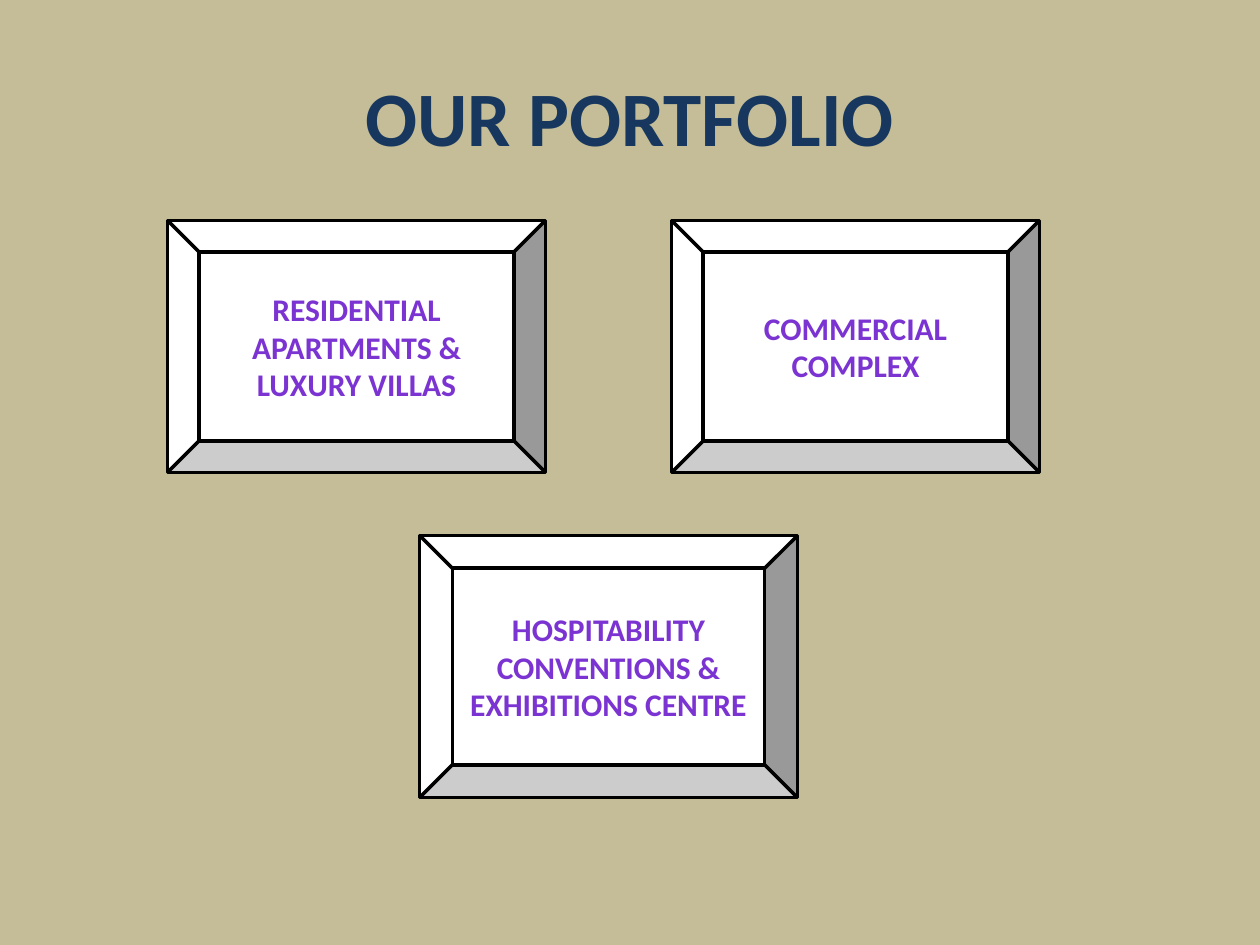
import pptx
import pptx.util
import pptx.dml.color
import pptx.enum.shapes
import pptx.enum.text
import pptx.oxml
import pptx.oxml.ns
from pptx.util import Inches

COLORS = {
    "background": "C4BD97",
    "title": "17375E",
    "panel": "FFFFFF",
    "border": "000000",
    "text_dark": "3D1B67",
    "text_bright": "7B34D2",
    "text_mid": "7330C4",
    "text_outline": "5E457C",
}
TEXT_GRADIENT = [(0, "text_dark"), (43, "text_bright"), (48, "text_mid"), (100, "text_dark")]

PANEL_TOP, PANEL_WIDTH = 1.75, 3
PORTFOLIO = [
    ("RESIDENTIAL APARTMENTS & LUXURY VILLAS", 1.33, PANEL_TOP, PANEL_WIDTH, 2),
    ("COMMERCIAL COMPLEX", 5.33, PANEL_TOP, 2.92, 2),
    ("HOSPITABILITY CONVENTIONS & EXHIBITIONS CENTRE", 3.33, 4.25, PANEL_WIDTH, 2.08),
]


def rgb(name):
    return pptx.dml.color.RGBColor.from_string(COLORS[name])


class PortfolioSlide:
    font_name = "Calibri"

    def __init__(self, presentation):
        self.slide = presentation.slides.add_slide(presentation.slide_layouts[0])
        fill = self.slide.background.fill
        fill.solid()
        fill.fore_color.rgb = rgb("background")
        subtitle = self.slide.placeholders[1].element
        subtitle.getparent().remove(subtitle)

    def add_text(self, shape, text, size):
        """Fill the shape with one bold, centred run and return the run."""
        frame = shape.text_frame
        frame.word_wrap = True
        frame.vertical_anchor = pptx.enum.text.MSO_ANCHOR.MIDDLE
        paragraph = frame.paragraphs[0]
        paragraph.alignment = pptx.enum.text.PP_ALIGN.CENTER
        run = paragraph.add_run()
        run.text = text
        run.font.name = self.font_name
        run.font.size = pptx.util.Pt(size)
        run.font.bold = True
        return run

    def add_title(self, text):
        title = self.slide.shapes.title
        title.left, title.top = Inches(0), Inches(0.25)
        title.width, title.height = Inches(10), Inches(1.33)
        self.add_text(title, text, 44).font.color.rgb = rgb("title")

    def add_panel(self, text, left, top, width, height):
        panel = self.slide.shapes.add_shape(
            pptx.enum.shapes.MSO_SHAPE.BEVEL,
            Inches(left), Inches(top), Inches(width), Inches(height))
        panel.shadow.inherit = False
        panel.fill.solid()
        panel.fill.fore_color.rgb = rgb("panel")
        panel.line.color.rgb = rgb("border")
        panel.line.width = pptx.util.Pt(2)
        self.apply_gradient(self.add_text(panel, text, 18))

    def apply_gradient(self, run):
        """Give the letters a vertical gradient and a thin outline."""
        namespace = pptx.oxml.ns.nsdecls("a")
        stops = "".join(
            f'<a:gs pos="{percent * 1000}"><a:srgbClr val="{COLORS[name]}"/></a:gs>'
            for percent, name in TEXT_GRADIENT)
        outline = (
            f'<a:ln {namespace} w="{pptx.util.Pt(0.71)}"><a:solidFill>'
            f'<a:srgbClr val="{COLORS["text_outline"]}"/></a:solidFill></a:ln>')
        gradient = (
            f'<a:gradFill {namespace}><a:gsLst>{stops}</a:gsLst>'
            '<a:lin ang="5400000" scaled="0"/></a:gradFill>')
        properties = run.font._element
        for position, xml in enumerate((outline, gradient)):
            properties.insert(position, pptx.oxml.parse_xml(xml))


def main():
    presentation = pptx.Presentation()
    presentation.slide_width = Inches(10)
    presentation.slide_height = Inches(7.5)
    portfolio = PortfolioSlide(presentation)
    portfolio.add_title("OUR PORTFOLIO")
    for panel in PORTFOLIO:
        portfolio.add_panel(*panel)
    presentation.save("out.pptx")


if __name__ == "__main__":
    main()
